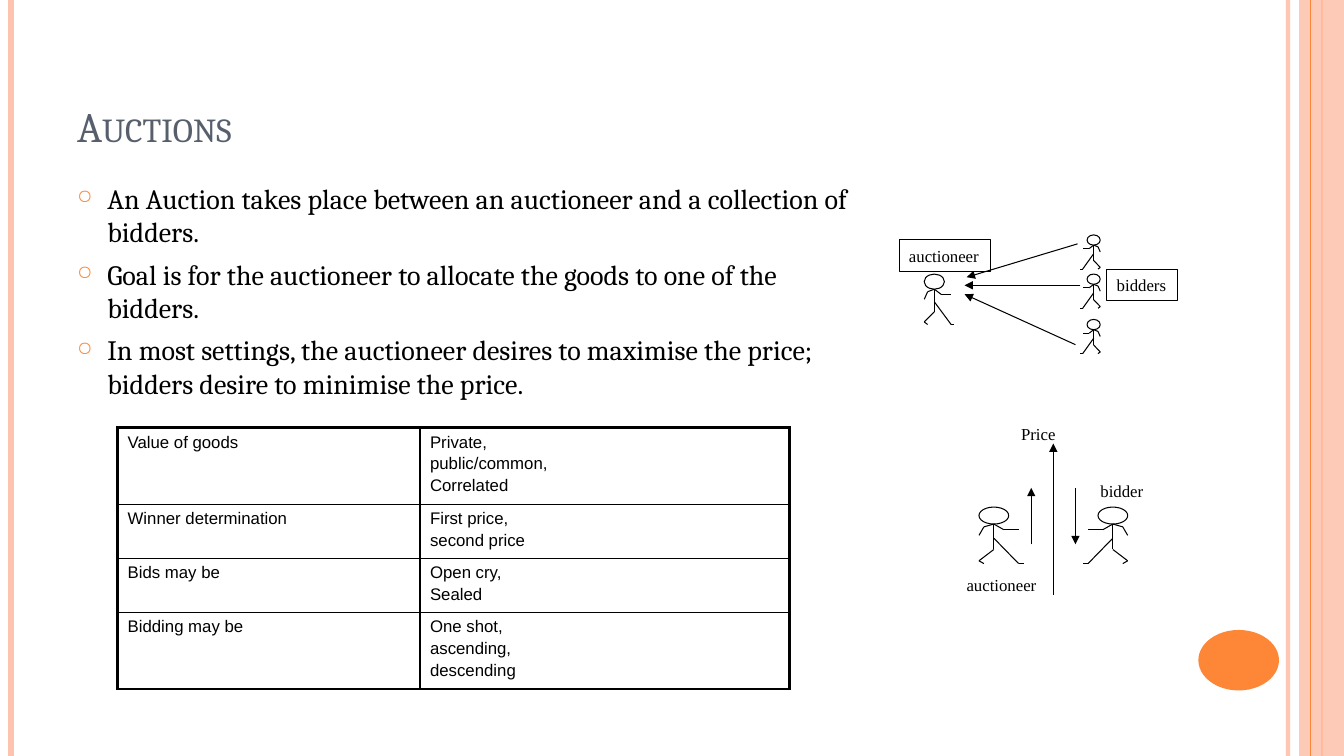
from lxml import etree
from pptx import Presentation
from pptx import util as u
from pptx.dml import color
from pptx.enum import shapes, text
from pptx.oxml import ns

COLORS = {"black": "000000", "slate": "575F6D", "orange": "FE8637", "peach": "FEC3AE"}
TITLE = {"name": "Cambria", "size": u.Pt(30)}
BODY = {"name": "Cambria", "size": u.Pt(20)}
CELL = {"name": "Arial", "size": u.Pt(12)}
LABEL = {"name": "Times New Roman", "size": u.Pt(12)}

POINTS = [
    "An Auction takes place between an auctioneer and a collection of bidders.",
    "Goal is for the auctioneer to allocate the goods to one of the bidders.",
    "In most settings, the auctioneer desires to maximise the price; bidders desire to minimise the price.",
]
ROWS = [
    (["Value of goods"], ["Private,", "public/common,", "Correlated"]),
    (["Winner determination"], ["First price,", "second price"]),
    (["Bids may be"], ["Open cry,", "Sealed"]),
    (["Bidding may be"], ["One shot,", "ascending,", "descending"]),
]
LIMBS = [
    [(0, 6), (0, 11), (0, 15), (-3, 19), (-2, 20)],
    [(0, 11), (5, 20), (6, 20)],
    [(0, 6), (-2, 7), (-3, 10)],
    [(0, 6), (2, 8), (5, 8)],
]


def add_xml(parent, tag, **attributes):
    return etree.SubElement(parent, ns.qn(tag), attributes)


def apply(target, values):
    for name, value in values.items():
        setattr(target, name, value)


class SlideBuilder:
    def __init__(self, slide, colors):
        self.slide = slide
        self.colors = colors

    def rgb(self, name):
        return color.RGBColor.from_string(self.colors[name])

    def set_alpha(self, properties, percent):
        for element in properties.iter(ns.qn("a:srgbClr")):
            add_xml(element, "a:alpha", val=str(percent * 1000))

    def line(self, start, end, name="black", width=0.75, arrow=False, alpha=None):
        connector = self.slide.shapes.add_connector(
            shapes.MSO_CONNECTOR.STRAIGHT, *[u.Pt(value) for value in (*start, *end)])
        connector.line.color.rgb = self.rgb(name)
        connector.line.width = u.Pt(width)
        properties = connector._element.spPr
        if alpha:
            self.set_alpha(properties, alpha)
        if arrow:
            add_xml(connector.line._get_or_add_ln(), "a:tailEnd", type="triangle")
        add_xml(properties, "a:effectLst")

    def shape(self, kind, box, fill=None, outline=None, alpha=None):
        shape = self.slide.shapes.add_shape(kind, *[u.Pt(value) for value in box])
        shape.shadow.inherit = False
        if fill:
            shape.fill.solid()
            shape.fill.fore_color.rgb = self.rgb(fill)
        else:
            shape.fill.background()
        if outline:
            shape.line.color.rgb = self.rgb(outline)
            shape.line.width = u.Pt(0.75)
        else:
            shape.line.fill.background()
        if alpha:
            self.set_alpha(shape._element.spPr, alpha)
        return shape

    def paragraphs(self, frame, lines, font, name="black", before=0):
        for index, line in enumerate(lines):
            paragraph = frame.paragraphs[0] if index == 0 else frame.add_paragraph()
            apply(paragraph, {"alignment": text.PP_ALIGN.LEFT, "space_before": u.Pt(before)})
            run = paragraph.add_run()
            run.text = line
            apply(run.font, font)
            run.font.color.rgb = self.rgb(name)

    def text_box(self, box, lines, font, name="black", before=0, **frame_format):
        shape = self.slide.shapes.add_textbox(*[u.Pt(value) for value in box])
        apply(shape.text_frame, {"word_wrap": True, **frame_format})
        self.paragraphs(shape.text_frame, lines, font, name, before)
        return shape.text_frame

    def title(self, box, title):
        frame = self.text_box(box, [title], TITLE, "slate", vertical_anchor=text.MSO_ANCHOR.BOTTOM)
        frame.paragraphs[0].runs[0].font._element.set("cap", "small")

    def bullets(self, box, lines):
        frame = self.text_box(box, lines, BODY, before=6)
        for paragraph in frame.paragraphs:
            properties = paragraph._p.get_or_add_pPr()
            properties.set("marL", str(u.Pt(21.6)))
            properties.set("indent", str(-u.Pt(21.6)))
            add_xml(add_xml(properties, "a:buClr"), "a:srgbClr", val=self.colors["orange"])
            add_xml(properties, "a:buSzPct", val="70000")
            add_xml(properties, "a:buChar", char="○")

    def label(self, box, caption, framed=False):
        if framed:
            frame = self.shape(shapes.MSO_SHAPE.RECTANGLE, box, outline="black").text_frame
            apply(frame, {"word_wrap": False})
            self.paragraphs(frame, [caption], LABEL)
        else:
            self.text_box(box, [caption], LABEL, word_wrap=False)

    def figure(self, spine, top, unit_x, unit_y, facing=1):
        self.shape(shapes.MSO_SHAPE.OVAL,
                   (spine - 3 * unit_x, top, 6 * unit_x, 6 * unit_y), outline="black")
        for limb in LIMBS:
            joints = [(spine + facing * x * unit_x, top + y * unit_y) for x, y in limb]
            for start, end in zip(joints, joints[1:]):
                self.line(start, end)

    def table(self, left, top, widths, heights, rows):
        table = self.slide.shapes.add_table(
            len(rows), len(widths), u.Pt(left), u.Pt(top),
            u.Pt(sum(widths)), u.Pt(sum(heights))).table
        apply(table, {"first_row": False, "horz_banding": False})
        for column, width in zip(table.columns, widths):
            column.width = u.Pt(width)
        last_row, last_column = len(rows) - 1, len(widths) - 1
        for row_index, row in enumerate(rows):
            table.rows[row_index].height = u.Pt(heights[row_index])
            for column_index, lines in enumerate(row):
                cell = table.cell(row_index, column_index)
                self.paragraphs(cell.text_frame, lines, CELL, before=2.2)
                outer = {"L": column_index == 0, "R": column_index == last_column,
                         "T": row_index == 0, "B": row_index == last_row}
                properties = cell._tc.get_or_add_tcPr()
                for side, is_outer in outer.items():
                    border = add_xml(properties, f"a:ln{side}", w=str(u.Pt(2.25 if is_outer else 1)))
                    fill = add_xml(border, "a:solidFill")
                    add_xml(fill, "a:srgbClr", val=self.colors["black"])
                cell.fill.background()


def main():
    presentation = Presentation()
    apply(presentation, {"slide_width": u.Pt(960), "slide_height": u.Pt(540)})
    slide = presentation.slides.add_slide(presentation.slide_layouts[6])
    builder = SlideBuilder(slide, COLORS)

    builder.line((920, 0), (920, 540), "peach", 3, alpha=93)
    builder.line((8, 0), (8, 540), "peach", 4.5)
    builder.line((944, 0), (944, 540), "orange", 1.5)
    builder.shape(shapes.MSO_SHAPE.RECTANGLE, (928, 0, 32, 540), "peach", alpha=87)
    builder.line((936, 0), (936, 540), "orange")
    builder.shape(shapes.MSO_SHAPE.OVAL, (856, 450, 57.6, 43.2), "orange")

    builder.title((48, 21.6, 784, 90), "Auctions")
    builder.bullets((48, 126, 569.5, 384), POINTS)

    builder.figure(667.4, 195.8, 2.4, 1.8)
    for top in (167.8, 195.8, 228.2):
        builder.figure(781.2, top, 1.57, 1.22, facing=-1)
    for start, end in [((769.7, 174.2), (690.5, 198)), ((771.8, 203.8), (689, 203.8)),
                       ((768.2, 246.2), (689, 210.2))]:
        builder.line(start, end, arrow=True)
    builder.label((642.2, 171.4, 65.5, 22.3), "auctioneer", framed=True)
    builder.label((790.6, 192.2, 50.4, 22.3), "bidders", framed=True)

    for start, end in [((752.4, 424.8), (752.4, 316.8)), ((736.6, 388.8), (736.6, 348.5)),
                       ((768.2, 348.5), (768.2, 388.8))]:
        builder.line(start, end, arrow=True)
    for spine, facing in [(709.9, 1), (794.9, -1)]:
        builder.figure(spine, 362.2, 3.54, 2.02, facing)
    builder.label((683.3, 406.8, 65.5, 21.6), "auctioneer")
    builder.label((779, 339.8, 45.4, 21.6), "bidder")
    builder.label((722.2, 298.8, 39.6, 21.6), "Price")

    builder.table(84, 305.5, [216, 264], [54.8, 38.5, 38.5, 54.8], ROWS)
    presentation.save("out.pptx")


if __name__ == "__main__":
    main()
